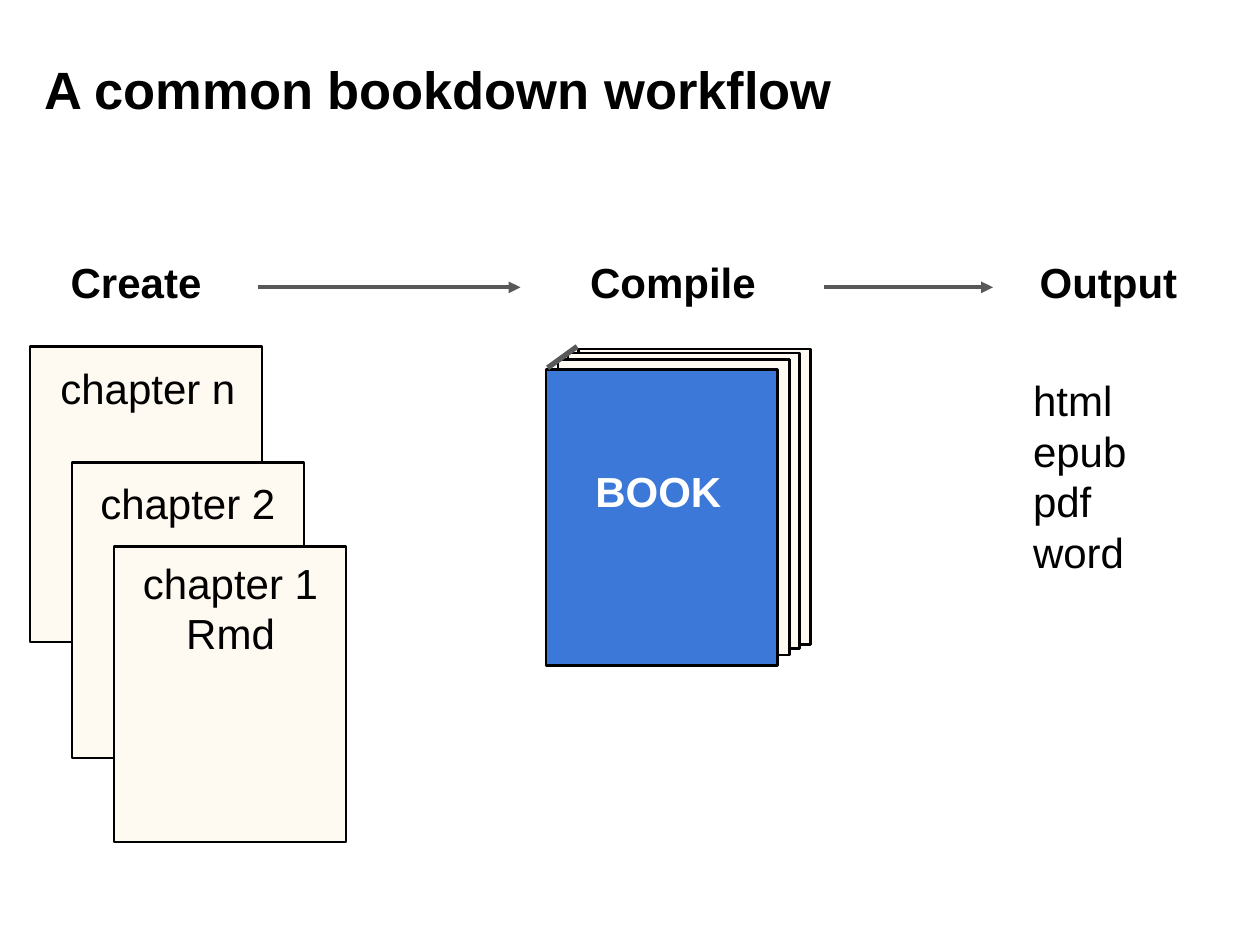
from typing import NamedTuple

from lxml.etree import SubElement
from pptx import Presentation
from pptx.dml.color import RGBColor
from pptx.enum.shapes import MSO_CONNECTOR as Link, MSO_SHAPE as Form
from pptx.enum.text import MSO_ANCHOR as Anchor, MSO_AUTO_SIZE as Fit, PP_ALIGN as Align
from pptx.oxml.ns import qn
from pptx.util import Pt

BLACK, WHITE, GREY = "000000", "FFFFFF", "595959"
CREAM, BLUE = "FFFAF1", "3C78D8"
PAGE_W, PAGE_H = 132.5, 169
HEAD_Y, ARROW_Y = 137.5, 164.2


class Page(NamedTuple):
    x: float
    y: float
    fill: str = CREAM


class Label(NamedTuple):
    text: str
    x: float
    y: float
    w: float
    h: float = 54
    bold: bool = False
    color: str = BLACK
    align: Align = Align.CENTER
    size: float = 24


class Line(NamedTuple):
    x1: float
    y1: float
    x2: float
    y2: float
    width: float = 2.25
    arrow: bool = True


def rgb(code: str) -> RGBColor:
    return RGBColor.from_string(code)


def draw_page(slide, page: Page) -> None:
    box = slide.shapes.add_shape(
        Form.RECTANGLE, Pt(page.x), Pt(page.y), Pt(PAGE_W), Pt(PAGE_H))
    box.shadow.inherit = False
    box.fill.solid()
    box.fill.fore_color.rgb = rgb(page.fill)
    box.line.color.rgb = rgb(BLACK)
    box.line.width = Pt(1.5)


def set_text(box, label: Label) -> None:
    box.left, box.top = Pt(label.x), Pt(label.y)
    box.width, box.height = Pt(label.w), Pt(label.h)
    frame = box.text_frame
    frame.text = label.text
    frame.word_wrap = True
    frame.auto_size = Fit.NONE
    frame.vertical_anchor = Anchor.TOP
    frame.margin_left = frame.margin_right = frame.margin_bottom = Pt(7.2)
    frame.margin_top = Pt(9)
    for para in frame.paragraphs:
        para.alignment = label.align
        para.line_spacing = Pt(label.size * 1.2)
        para.space_before = Pt(0)
        for run in para.runs:
            font = run.font
            font.name, font.size, font.bold = "Arial", Pt(label.size), label.bold
            font.color.rgb = rgb(label.color)


def draw_label(slide, label: Label) -> None:
    set_text(slide.shapes.add_textbox(0, 0, 0, 0), label)


def draw_line(slide, line: Line) -> None:
    link = slide.shapes.add_connector(
        Link.STRAIGHT, Pt(line.x1), Pt(line.y1), Pt(line.x2), Pt(line.y2))
    link.line.color.rgb = rgb(GREY)
    link.line.width = Pt(line.width)
    if line.arrow:
        SubElement(link.line._get_or_add_ln(), qn("a:tailEnd"), type="triangle")
    SubElement(link._element.spPr, qn("a:effectLst"))


# Chapters, each followed by its text
CHAPTERS = [
    (Page(17.2, 198), Label("chapter n", 10, 198, 149)),
    (Page(41.2, 264.3), Label("chapter 2", 39.6, 264, 135.4)),
    (Page(65.2, 312.3), Label("chapter 1\nRmd", 64, 309.6, 135.4)),
]
# Book pages from back to cover
BOOK = [
    Page(330.7, 199.5), Page(324.5, 201.8), Page(318.8, 205.4),
    Page(312, 211.2, BLUE),
]
LABELS = [
    Label("BOOK", 301.7, 257, 149, bold=True, color=WHITE),
    Label("html\nepub\npdf\nword", 583.2, 205.2, 135.4, 185.8, align=Align.LEFT),
    Label("Create", 10, HEAD_Y, 135.4, bold=True),
    Label("Compile", 297.4, HEAD_Y, 174.2, bold=True),
    Label("Output", 587, HEAD_Y, 115.5, bold=True, align=Align.LEFT),
]
LINES = [
    Line(313, 210.2, 329.8, 198, 3, False),
    Line(147.6, ARROW_Y, 297.4, ARROW_Y),
    Line(470.9, ARROW_Y, 567.4, ARROW_Y),
]
TITLE = Label("A common bookdown workflow", 18, 23.8, 578.2, 67.7,
              bold=True, align=Align.LEFT, size=30)


def main() -> None:
    deck = Presentation()
    deck.slide_width, deck.slide_height = Pt(720), Pt(540)
    slide = deck.slides.add_slide(deck.slide_layouts[5])
    set_text(slide.shapes.title, TITLE)

    for page, label in CHAPTERS:
        draw_page(slide, page)
        draw_label(slide, label)
    for page in BOOK:
        draw_page(slide, page)
    for label in LABELS:
        draw_label(slide, label)
    for line in LINES:
        draw_line(slide, line)

    deck.save("out.pptx")


if __name__ == "__main__":
    main()
